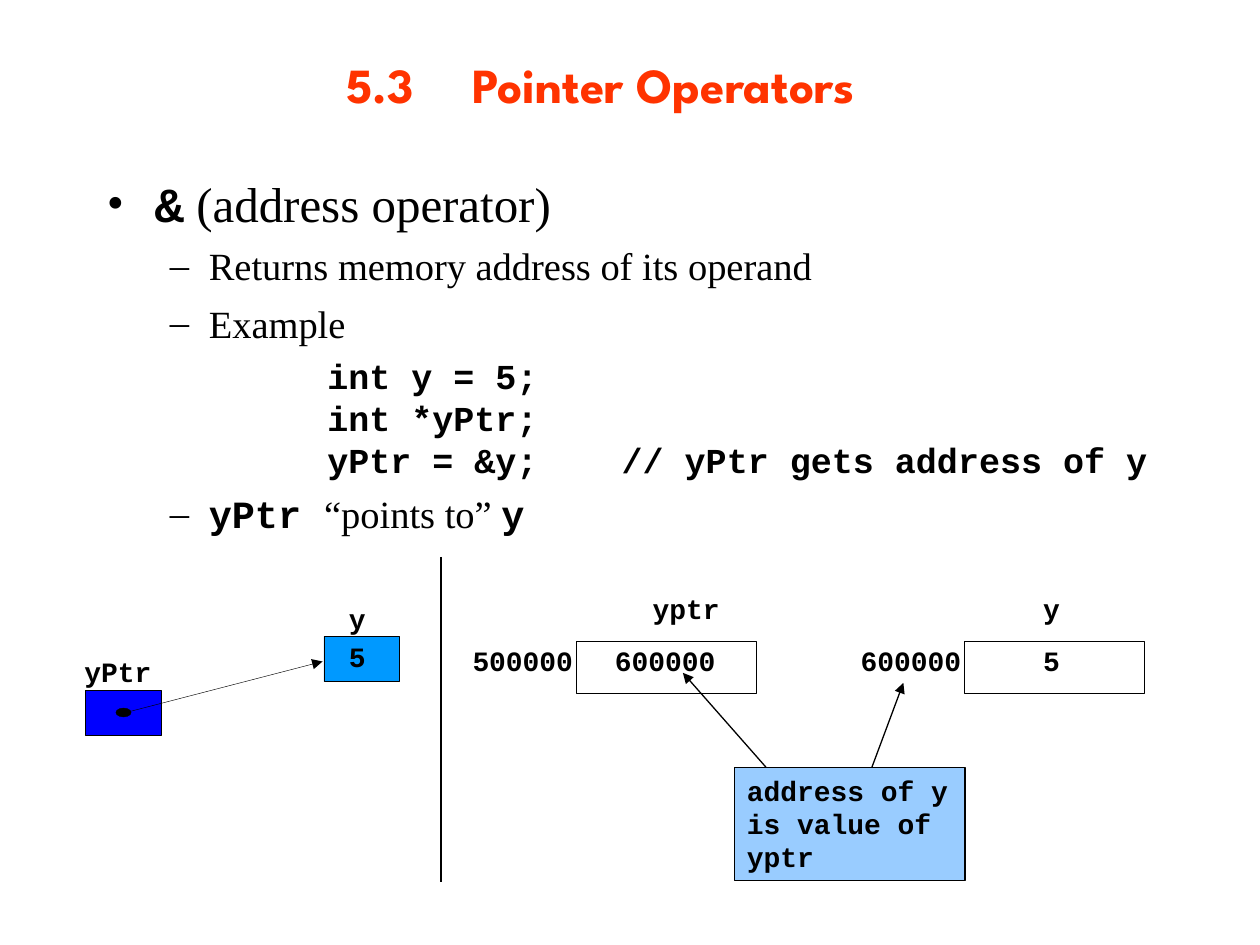
from dataclasses import dataclass
from typing import Optional

from lxml.etree import SubElement
from pptx import Presentation
from pptx.dml.color import RGBColor
from pptx.enum.shapes import MSO_CONNECTOR as Connector, MSO_SHAPE as Preset
from pptx.enum.text import MSO_ANCHOR as Anchor, PP_ALIGN as Align
from pptx.oxml.ns import qn
from pptx.util import Inches, Pt

COLORS = {"ink": "000000", "title": "FF3300", "pointer": "0000FF",
          "variable": "0099FF", "callout": "99CCFF"}
CODE, PROSE, HEADING = "Courier New", "Times New Roman", "League Spartan"
COLUMNS, ROWS = 100, 75
CELL = Inches(0.1)


@dataclass
class Line:
    """A body paragraph; runs are (text, font name) pairs, code being bold."""
    runs: list[tuple[str, str]]
    size: float
    margin: float
    hanging: float = 0
    bullet: Optional[str] = None
    before: float = 0
    spacing: Optional[float] = None


@dataclass
class Label:
    text: str
    left: float
    top: float
    width: float
    spacing: float


@dataclass
class Box:
    left: float
    top: float
    width: float
    height: float
    fill: Optional[str] = None
    preset: Preset = Preset.RECTANGLE
    weight: float = 0.25


@dataclass
class Stroke:
    start: tuple[float, float]
    end: tuple[float, float]
    weight: float = 0.75
    arrow: bool = True


SUB = {"size": 22, "margin": 8.1, "hanging": 3.1, "bullet": "–"}
BODY = [
    Line([("&", CODE), (" (address operator)", PROSE)], 28, 3.8, 3.8, "•"),
    Line([("Returns memory address of its operand", PROSE)], before=5.5, **SUB),
    Line([("Example", PROSE)], before=6.5, **SUB),
    Line([("int y = 5;\vint *yPtr;\vyPtr = &y;    // yPtr gets address of y", CODE)],
         20, 17.5, before=5, spacing=24),
    Line([("yPtr ", CODE), ("“points to” ", PROSE), ("y", CODE)], before=5.5, **SUB),
]

DIAGRAM_BOXES = [
    Box(6.8, 54.8, 6, 3.6, "pointer"),
    Box(25.7, 50.5, 6, 3.6, "variable"),
    Box(9.2, 56.2, 1.2, 0.7, "ink", Preset.OVAL),
]
DIAGRAM_LABELS = [
    Label("yPtr", 6.7, 52.6, 6.3, 0.72),
    Label("y", 27.7, 48.4, 2, 0.72),
    Label("5", 27.7, 51.4, 2, 0.72),
]
CALLOUT = Box(58.3, 60.9, 18.3, 9, "callout", weight=0.75)
STROKES = [
    Stroke((9.8, 56.6), (25.6, 52.5), 0.25),
    Stroke((35, 44.2), (35, 70), arrow=False),
    Stroke((69.2, CALLOUT.top), (71.7, 54.2)),
    Stroke((60.8, CALLOUT.top), (54.2, 53.4)),
]


def grid(*cells: float) -> list[int]:
    return [round(cell * CELL) for cell in cells]


def color(name: str) -> RGBColor:
    return RGBColor.from_string(COLORS[name])


def style(font, name: str, size: float, ink: str = "ink", bold: bool = True) -> None:
    font.name, font.size, font.bold = name, Pt(size), bold
    font.color.rgb = color(ink)


def add_text_frame(slide, left, top, width, height, wrap=True):
    frame = slide.shapes.add_textbox(*grid(left, top, width, height)).text_frame
    frame.word_wrap = wrap
    return frame


def add_title(slide) -> None:
    frame = add_text_frame(slide, 7.5, 0.8, 85, 11.7)
    frame.vertical_anchor = Anchor.MIDDLE
    paragraph = frame.paragraphs[0]
    paragraph.text = "5.3\tPointer Operators\t"
    paragraph.alignment = Align.CENTER
    style(paragraph.font, HEADING, 28, "title")


def add_body(slide, lines: list[Line]) -> None:
    frame = add_text_frame(slide, 7.5, 13.3, 85, 57.5)
    for index, line in enumerate(lines):
        paragraph = frame.add_paragraph() if index else frame.paragraphs[0]
        paragraph.space_before = Pt(line.before)
        if line.spacing:
            paragraph.line_spacing = Pt(line.spacing)
        properties = paragraph._p.get_or_add_pPr()
        margin, indent = grid(line.margin, -line.hanging)
        properties.set("marL", str(margin))
        properties.set("indent", str(indent))
        if line.bullet:
            SubElement(properties, qn("a:buFont")).set("typeface", PROSE)
            SubElement(properties, qn("a:buChar")).set("char", line.bullet)
        paragraph.text = "".join(text for text, _ in line.runs) if len(line.runs) == 1 else ""
        if len(line.runs) == 1:
            style(paragraph.font, line.runs[0][1], line.size, bold=line.runs[0][1] == CODE)
            continue
        for text, font_name in line.runs:
            run = paragraph.add_run()
            run.text = text
            style(run.font, font_name, line.size, bold=font_name == CODE)


def add_label(slide, label: Label) -> None:
    frame = add_text_frame(slide, label.left, label.top, label.width, 2.1, wrap=False)
    frame.margin_left = frame.margin_right = frame.margin_top = frame.margin_bottom = 0
    paragraph = frame.paragraphs[0]
    paragraph.text = label.text
    paragraph.line_spacing = label.spacing
    style(paragraph.font, CODE, 16)


def add_box(slide, box: Box):
    shape = slide.shapes.add_shape(
        box.preset, *grid(box.left, box.top, box.width, box.height))
    shape.shadow.inherit = False
    if box.fill:
        shape.fill.solid()
        shape.fill.fore_color.rgb = color(box.fill)
    else:
        shape.fill.background()
    shape.line.color.rgb = color("ink")
    shape.line.width = Pt(box.weight)
    return shape


def add_stroke(slide, stroke: Stroke) -> None:
    connector = slide.shapes.add_connector(
        Connector.STRAIGHT, *grid(*stroke.start, *stroke.end))
    connector.line.color.rgb = color("ink")
    connector.line.width = Pt(stroke.weight)
    if stroke.arrow:
        SubElement(connector.line._get_or_add_ln(), qn("a:tailEnd")).set("type", "triangle")
    SubElement(connector._element.spPr, qn("a:effectLst"))


def add_memory_cell(slide, left: float, address: str, name: Label, value: Label) -> None:
    """Draw an address, its framed value and the variable name above."""
    add_box(slide, Box(left + 8.2, 50.9, 14.3, 4.1))
    for label in (Label(address, left, 51.6, 8.2, 0.8), name, value):
        add_label(slide, label)


def add_callout(slide) -> None:
    frame = add_box(slide, CALLOUT).text_frame
    frame.word_wrap = True
    frame.vertical_anchor = Anchor.TOP
    paragraph = frame.paragraphs[0]
    paragraph.text = "address of y is value of yptr"
    paragraph.alignment = Align.LEFT
    paragraph.line_spacing = Pt(19)
    style(paragraph.font, CODE, 16)


def main() -> None:
    presentation = Presentation()
    presentation.slide_width, presentation.slide_height = grid(COLUMNS, ROWS)
    slide = presentation.slides.add_slide(presentation.slide_layouts[6])
    add_title(slide)
    add_body(slide, BODY)
    for box in DIAGRAM_BOXES:
        add_box(slide, box)
    for label in DIAGRAM_LABELS:
        add_label(slide, label)
    add_memory_cell(slide, 37.5, "500000", Label("yptr", 51.8, 47.5, 5.6, 0.8),
                    Label("600000", 48.8, 51.6, 8.2, 0.8))
    add_memory_cell(slide, 68.3, "600000", Label("y", 82.8, 47.5, 1.7, 0.8),
                    Label("5", 82.8, 51.6, 1.7, 0.8))
    add_callout(slide)
    for stroke in STROKES:
        add_stroke(slide, stroke)
    presentation.save("out.pptx")


if __name__ == "__main__":
    main()
